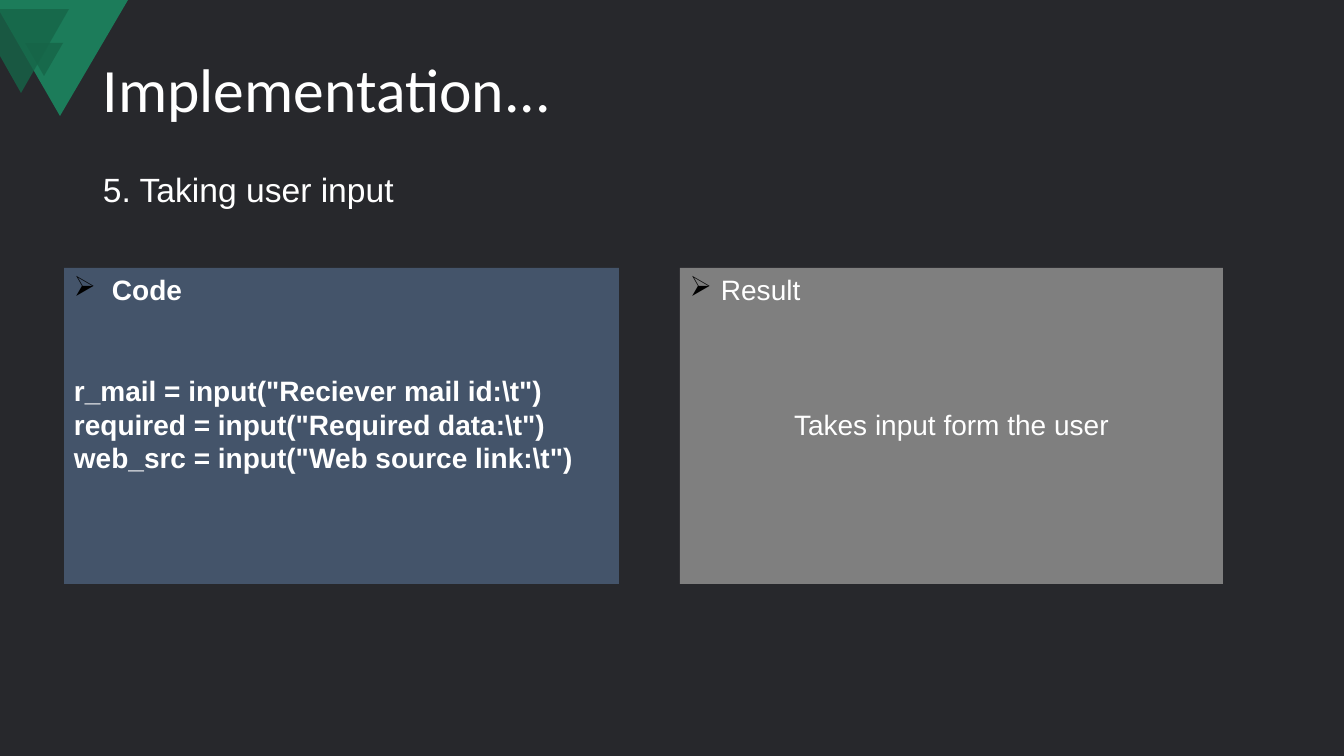
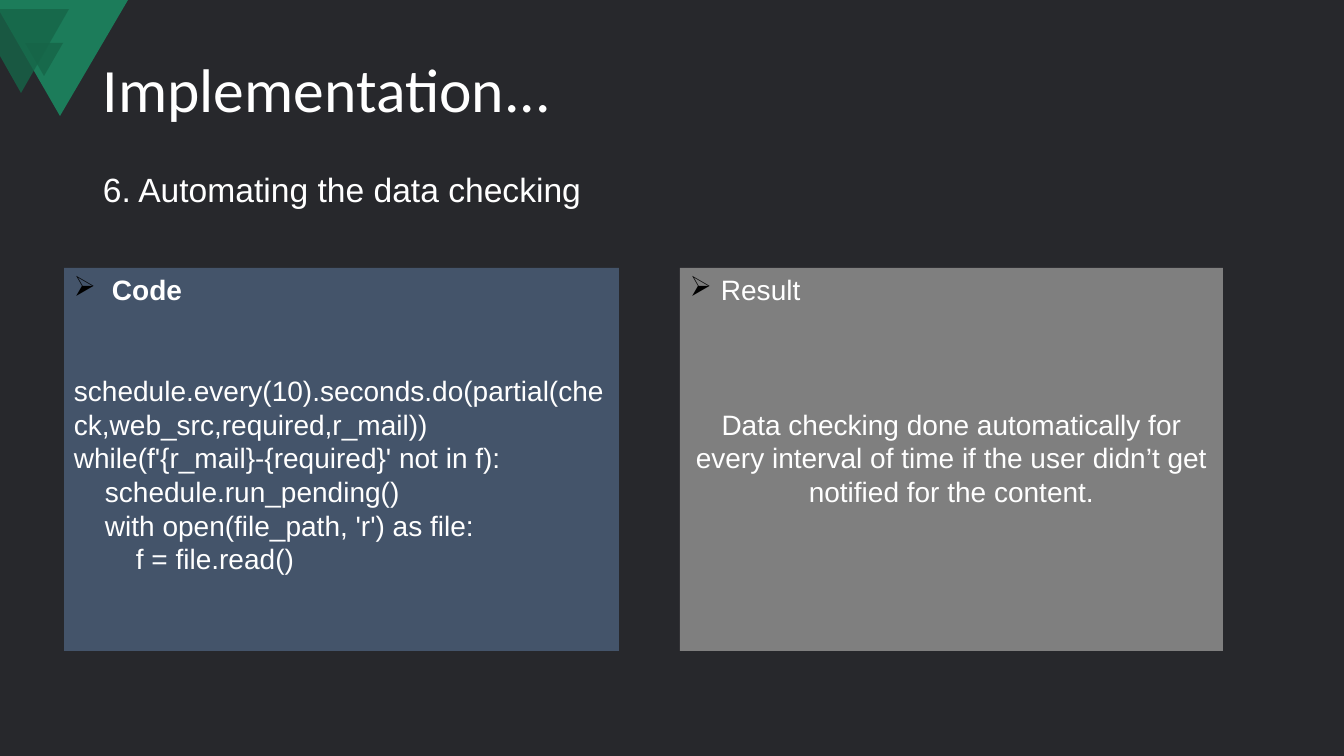
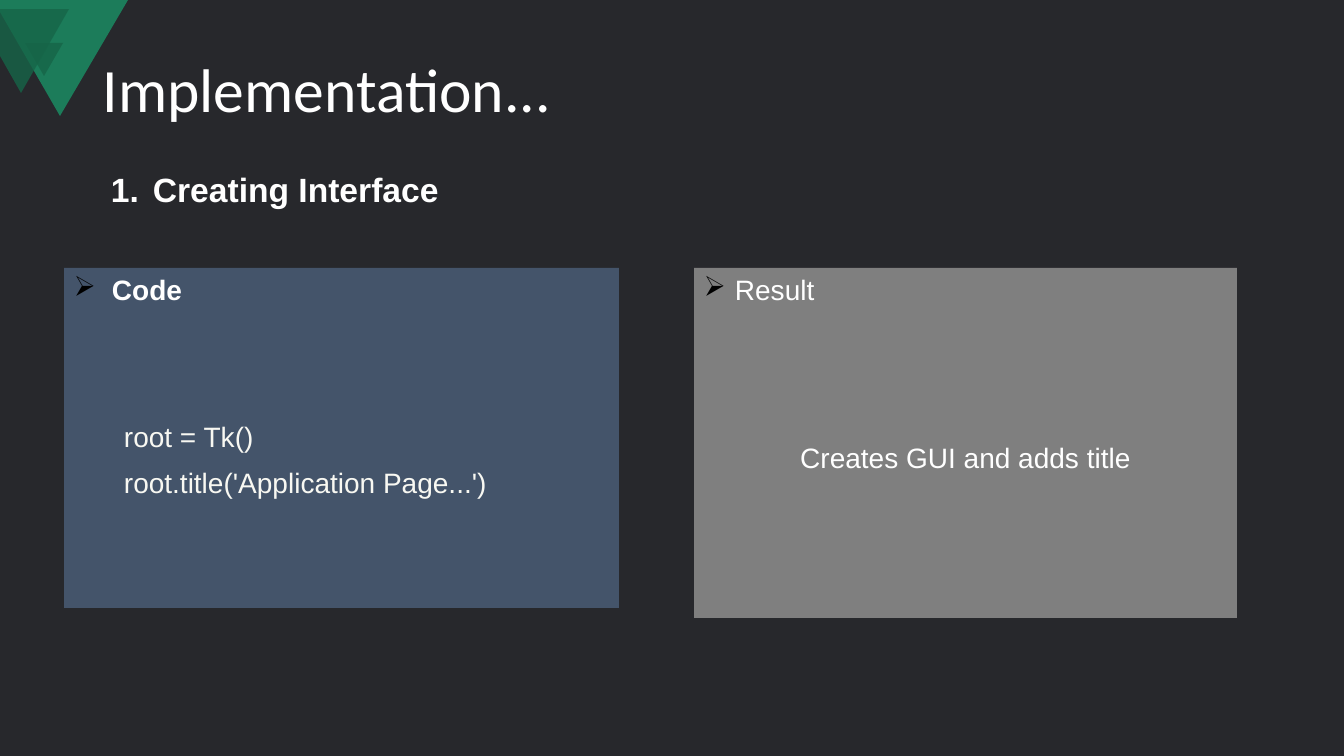
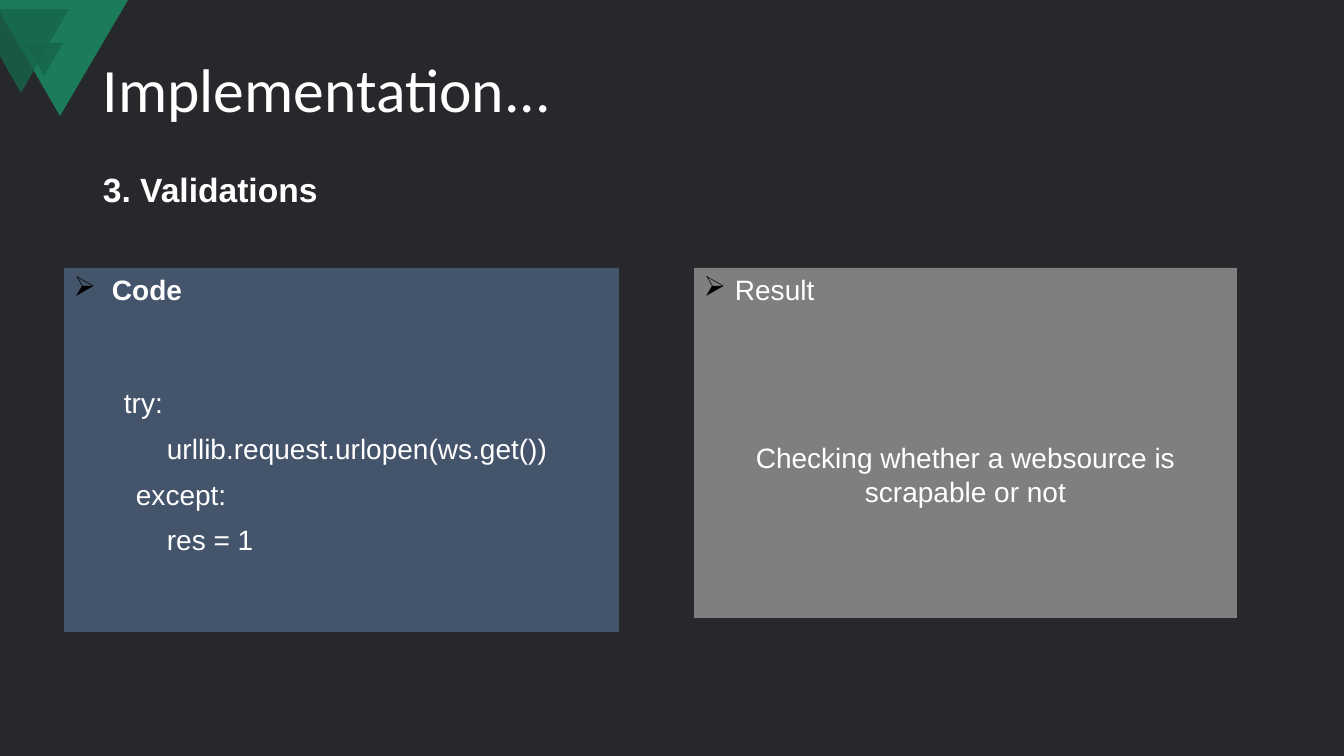
"""Build four code-and-result slides on a dark theme."""
from dataclasses import dataclass
from lxml.etree import SubElement as Sub
from pptx import Presentation
from pptx.dml.color import RGBColor as RGB
from pptx.enum.shapes import MSO_SHAPE as Kind
from pptx.enum.text import MSO_ANCHOR as Anchor, PP_ALIGN as Align
from pptx.oxml.ns import qn
from pptx.util import Pt

SCALE = 914400 / 100.8


def px(n):
    return round(n * SCALE)


@dataclass(frozen=True)
class Theme:
    back: str = "27282C"
    green: str = "1C7C5A"
    shade: str = "166548"
    blue: str = "44546A"
    gray: str = "7F7F7F"
    white: str = "FFFFFF"
    cream: str = "F8F8F2"
    black: str = "000000"
    head: str = "Calibri"
    body: str = "Arial"
    big: int = 44
    mid: int = 24
    small: int = 20
    line: int = 24


class Deck:
    def __init__(self, theme):
        self.theme = theme
        self.prs = Presentation()
        self.prs.slide_width, self.prs.slide_height = px(1344), px(756)
        fill = self.prs.slide_master.background.fill
        fill.solid()
        fill.fore_color.rgb = RGB.from_string(theme.back)
        self.slide = None

    def paint(self, shape, color, alpha=None):
        shape.shadow.inherit = False
        shape.fill.solid()
        shape.fill.fore_color.rgb = RGB.from_string(color)
        shape.line.fill.background()
        if alpha:
            tone = shape.fill._xPr.find(".//" + qn("a:srgbClr"))
            Sub(tone, qn("a:alpha"), val=str(alpha * 1000))

    def poly(self, points, color, alpha=None):
        form = self.slide.shapes.build_freeform(*points[0], scale=SCALE)
        form.add_line_segments(points[1:], close=True)
        self.paint(form.convert_to_shape(), color, alpha)

    def rect(self, x, y, w, h, color):
        shape = self.slide.shapes.add_shape(Kind.RECTANGLE, px(x), px(y), px(w), px(h))
        self.paint(shape, color)
        return self.frame(shape, Anchor.TOP)

    def box(self, x, y, w, h, anchor=Anchor.TOP):
        shape = self.slide.shapes.add_textbox(px(x), px(y), px(w), px(h))
        return self.frame(shape, anchor)

    def frame(self, shape, anchor):
        frame = shape.text_frame
        frame.word_wrap = True
        frame.vertical_anchor = anchor
        return frame

    def para(self, frame, text, size, first=False, bold=False, color=None,
             font=None, align=Align.LEFT, before=0, lead=None):
        par = frame.paragraphs[0] if first else frame.add_paragraph()
        par.alignment = align
        if before:
            par.space_before = Pt(before)
        if lead:
            par.line_spacing = lead
        run = par.add_run()
        run.text = text
        run.font.size = Pt(size)
        run.font.name = font or self.theme.body
        run.font.bold = bold
        run.font.color.rgb = RGB.from_string(color or self.theme.white)
        return par

    def indent(self, par, left, hang=0):
        prop = par._p.get_or_add_pPr()
        prop.set("marL", str(px(left)))
        prop.set("indent", str(-px(hang)))
        return prop

    def arrow(self, par, left):
        prop = self.indent(par, left, left)
        Sub(Sub(prop, qn("a:buClr")), qn("a:srgbClr"), val=self.theme.black)
        Sub(prop, qn("a:buFont"), typeface="Wingdings")
        Sub(prop, qn("a:buChar"), char="Ø")

    def number(self, par):
        prop = self.indent(par, 50, 42)
        Sub(prop, qn("a:buFont"), typeface="+mj-lt")
        Sub(prop, qn("a:buAutoNum"), type="arabicPeriod")

    def corner(self):
        look = self.theme
        self.poly([(0, 0), (128, 0), (60, 116), (0, 12)], look.green)
        tip = self.slide.shapes.add_shape(
            Kind.ISOSCELES_TRIANGLE, px(25), px(43), px(38), px(33))
        tip.rotation = 180
        self.paint(tip, look.shade, 80)
        self.poly([(0, 9), (69, 9), (21, 93), (0, 56)], look.shade, 80)

    def page(self, topic, bold=False, auto=False):
        look = self.theme
        self.slide = self.prs.slides.add_slide(self.prs.slide_layouts[6])
        self.corner()
        title = self.box(93, 40, 1159, 106, Anchor.MIDDLE)
        self.para(title, "Implementation...", look.big, True, font=look.head, lead=0.9)
        par = self.para(self.box(93, 164, 588, 50), topic, look.mid, True, bold)
        if auto:
            self.number(par)

    def code(self, high, lines, gap=2, bold=False, color=None, lead=None):
        look = self.theme
        frame = self.rect(64, 268, 555, high, look.blue)
        self.arrow(self.para(frame, "Code", look.small, True, True), 38)
        for i, (left, text) in enumerate(lines):
            par = self.para(frame, text, look.small, bold=bold, color=color,
                            before=0 if i else gap * look.line, lead=lead)
            self.indent(par, left)

    def result(self, left, high, text, gap=3):
        look = self.theme
        frame = self.rect(left, 268, 543, high, look.gray)
        self.arrow(self.para(frame, "Result", look.small, True), 31)
        self.para(frame, text, look.small, align=Align.CENTER, before=gap * look.line)


look = Theme()
deck = Deck(look)

deck.page("5. Taking user input")
deck.code(316, [
    (0, 'r_mail = input("Reciever mail id:\\t")'),
    (0, 'required = input("Required data:\\t")'),
    (0, 'web_src = input("Web source link:\\t")'),
], bold=True)
deck.result(680, 316, "Takes input form the user")

deck.page("6. Automating the data checking")
deck.code(383, [
    (0, "schedule.every(10).seconds.do(partial(check,web_src,required,r_mail))"),
    (0, "while(f'{r_mail}-{required}' not in f):"),
    (31, "schedule.run_pending()"),
    (31, "with open(file_path, 'r') as file:"),
    (62, "f = file.read()"),
])
deck.result(680, 383, "Data checking done automatically for every interval of time "
            "if the user didn’t get notified for the content.")

deck.page("Creating Interface", bold=True, auto=True)
deck.code(340, [
    (50, "root = Tk()"),
    (50, "root.title('Application Page...')"),
], gap=3, color=look.cream, lead=1.36)
deck.result(694, 350, "Creates GUI and adds title", gap=4)

deck.page("3. Validations", bold=True)
deck.code(364, [
    (50, "try:"),
    (93, "urllib.request.urlopen(ws.get())"),
    (62, "except:"),
    (93, "res = 1"),
], lead=1.36)
deck.result(694, 350, "Checking whether a websource is scrapable or not", gap=4)

deck.prs.save("out.pptx")
